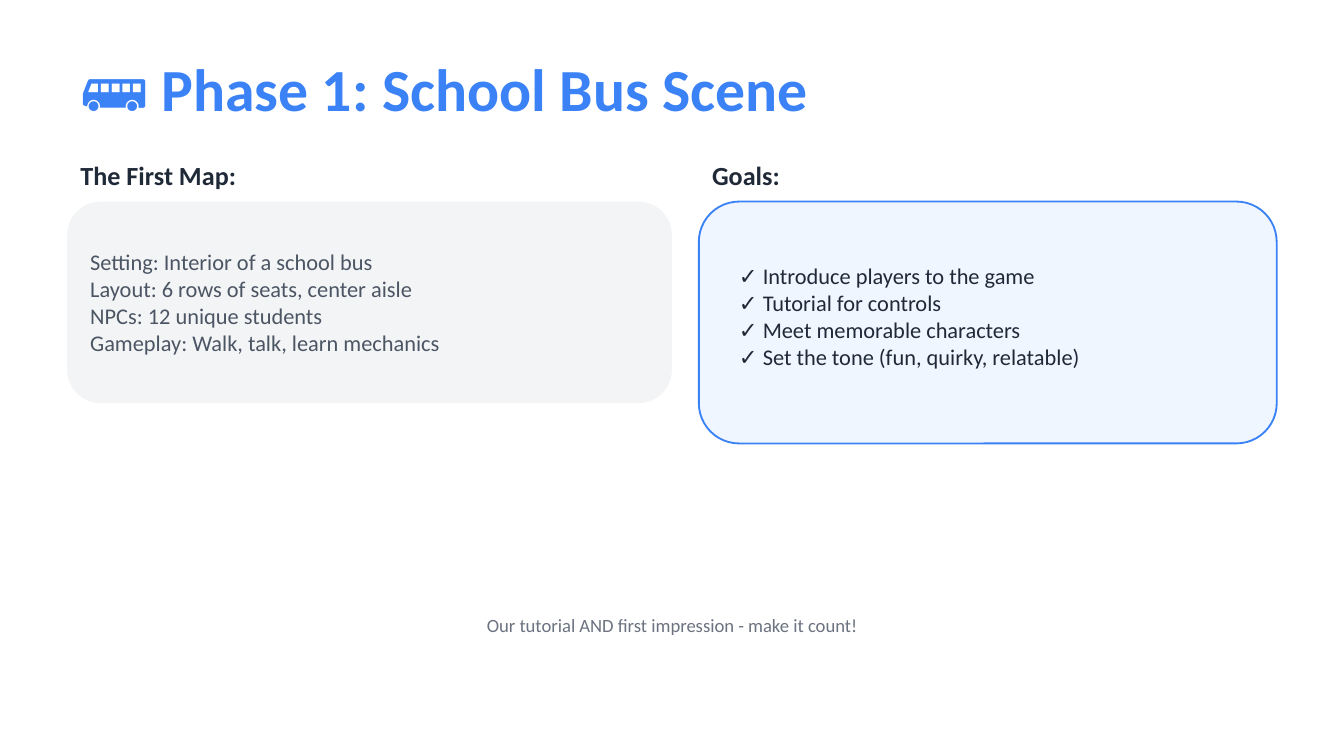
"""Build the school bus scene slide with its map details and goals."""

from dataclasses import dataclass

from pptx import Presentation
from pptx.dml.color import RGBColor
from pptx.enum.shapes import MSO_SHAPE
from pptx.enum.text import MSO_ANCHOR, PP_ALIGN
from pptx.shapes.autoshape import Shape
from pptx.slide import Slide
from pptx.util import Inches, Pt

BLUE = "3B82F6"
INK = "1F2937"


@dataclass(frozen=True)
class Area:
    left: float
    top: float
    width: float
    height: float

    def lengths(self) -> tuple[int, int, int, int]:
        """Return the position and size as slide lengths."""
        return (Inches(self.left), Inches(self.top),
                Inches(self.width), Inches(self.height))


@dataclass(frozen=True)
class TextStyle:
    size: int
    color: str
    bold: bool = False
    align: PP_ALIGN = PP_ALIGN.LEFT


@dataclass(frozen=True)
class Panel:
    heading: str
    card: Area
    fill: str
    border: str | None = None


TITLE = TextStyle(32, BLUE, bold=True)
HEADING = TextStyle(14, INK, bold=True)
DETAIL = TextStyle(12, "4B5563")
GOAL = TextStyle(12, INK)
FOOTNOTE = TextStyle(10, "6B7280", align=PP_ALIGN.CENTER)

MAP_PANEL = Panel("The First Map:", Area(0.5, 1.5, 4.5, 1.5), "F3F4F6")
GOALS_PANEL = Panel("Goals:", Area(5.2, 1.5, 4.3, 1.8), "EFF6FF", BLUE)

MAP_DETAILS = [
    "Setting: Interior of a school bus",
    "Layout: 6 rows of seats, center aisle",
    "NPCs: 12 unique students",
    "Gameplay: Walk, talk, learn mechanics",
]
GOALS = [
    "✓ Introduce players to the game",
    "✓ Tutorial for controls",
    "✓ Meet memorable characters",
    "✓ Set the tone (fun, quirky, relatable)",
]


def rgb(color: str) -> RGBColor:
    """Turn a hex string into a colour."""
    return RGBColor.from_string(color)


def write_text(shape: Shape, lines: list[str], style: TextStyle) -> None:
    """Fill a shape with one styled paragraph per line."""
    frame = shape.text_frame
    frame.word_wrap = True
    frame.vertical_anchor = MSO_ANCHOR.MIDDLE
    frame.text = "\n".join(lines)
    for paragraph in frame.paragraphs:
        paragraph.alignment = style.align
        paragraph.font.name = "Calibri"
        paragraph.font.size = Pt(style.size)
        paragraph.font.bold = style.bold
        paragraph.font.color.rgb = rgb(style.color)


def add_title(slide: Slide, area: Area, text: str) -> None:
    """Place and style the title placeholder."""
    title = slide.shapes.title
    title.left, title.top, title.width, title.height = area.lengths()
    write_text(title, [text], TITLE)


def add_text(slide: Slide, area: Area, lines: list[str], style: TextStyle) -> None:
    """Add a text box."""
    write_text(slide.shapes.add_textbox(*area.lengths()), lines, style)


def add_panel(slide: Slide, panel: Panel) -> Shape:
    """Add a heading above a rounded card and return the card."""
    card = panel.card
    heading_area = Area(card.left, card.top - 0.4, card.width, 0.4)
    add_text(slide, heading_area, [panel.heading], HEADING)
    box = slide.shapes.add_shape(MSO_SHAPE.ROUNDED_RECTANGLE, *card.lengths())
    box.shadow.inherit = False
    box.fill.solid()
    box.fill.fore_color.rgb = rgb(panel.fill)
    if panel.border:
        box.line.color.rgb = rgb(panel.border)
        box.line.width = Pt(1)
    else:
        box.line.fill.background()
    return box


def main() -> None:
    """Build and save the deck."""
    deck = Presentation()
    deck.slide_width = Inches(10)
    deck.slide_height = deck.slide_width * 9 // 16
    slide = deck.slides.add_slide(deck.slide_layouts.get_by_name("Title Only"))
    slide.background.fill.solid()
    slide.background.fill.fore_color.rgb = rgb("FFFFFF")

    add_title(slide, Area(0.5, 0.3, 9, 0.7), "🚌 Phase 1: School Bus Scene")
    write_text(add_panel(slide, MAP_PANEL), MAP_DETAILS, DETAIL)
    add_panel(slide, GOALS_PANEL)
    add_text(slide, Area(5.4, 1.6, 4, 1.5), GOALS, GOAL)
    add_text(slide, Area(0.5, 4.5, 9, 0.3),
             ["Our tutorial AND first impression - make it count!"], FOOTNOTE)
    deck.save("out.pptx")


if __name__ == "__main__":
    main()
